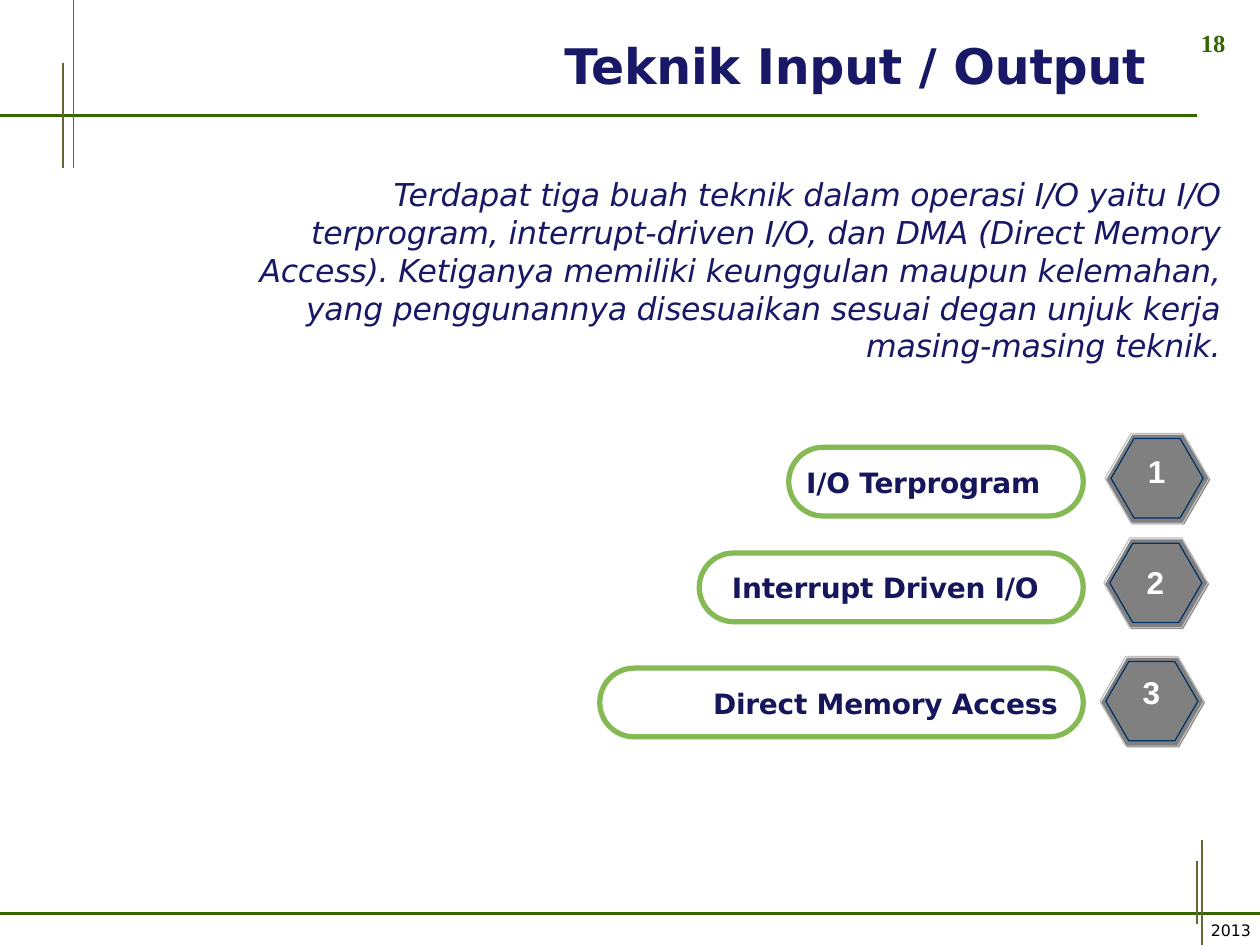
from typing import NamedTuple

from lxml import etree
from pptx import Presentation
from pptx.dml.color import RGBColor
from pptx.enum.shapes import MSO_CONNECTOR, MSO_SHAPE
from pptx.enum.text import PP_ALIGN
from pptx.oxml.ns import qn
from pptx.util import Pt

STRAIGHT = MSO_CONNECTOR.STRAIGHT
HEXAGON = MSO_SHAPE.HEXAGON
PILL = MSO_SHAPE.ROUNDED_RECTANGLE
LEFT, RIGHT = PP_ALIGN.LEFT, PP_ALIGN.RIGHT

GREEN = RGBColor(0x33, 0x66, 0x00)
OLIVE = RGBColor(0x66, 0x66, 0x33)
LIME = RGBColor(0x85, 0xB9, 0x53)
NAVY = RGBColor(0x18, 0x18, 0x66)
LABEL_NAVY = RGBColor(0x16, 0x16, 0x5D)
RIM_BLUE = RGBColor(0x00, 0x33, 0x66)
GRAY = RGBColor(0x80, 0x80, 0x80)
SILVER = RGBColor(0xC0, 0xC0, 0xC0)
WHITE = RGBColor(0xFF, 0xFF, 0xFF)
BLACK = RGBColor(0x00, 0x00, 0x00)

PILL_RIGHT = 619
PILL_HEIGHT = 39.3


class Box(NamedTuple):
    left: float
    top: float
    width: float
    height: float


class Rule(NamedTuple):
    x1: float
    y1: float
    x2: float
    y2: float
    color: RGBColor
    weight: float


class Style(NamedTuple):
    font: str
    size: float
    color: RGBColor
    bold: bool = False
    italic: bool = False
    spacing: float = 0


class Technique(NamedTuple):
    number: str
    name: str
    pill_left: float
    pill_top: float
    name_left: float
    name_width: float
    hexagon_left: float
    hexagon_top: float
    number_drop: float


RULES = [
    Rule(0, 66, 684, 66, GREEN, 1.56),
    Rule(42, 0, 42, 96, OLIVE, 0.96),
    Rule(36, 36, 36, 96, OLIVE, 0.96),
    Rule(720, 522, 0, 522, GREEN, 1.56),
    Rule(684, 528, 684, 492, OLIVE, 0.96),
    Rule(687, 540, 687, 480, OLIVE, 0.96),
]

TECHNIQUES = [
    Technique("1", "I/O Terprogram", 450.7, 255.6, 460, 147, 632.2, 248.4, 8.6),
    Technique("2", "Interrupt Driven I/O", 399.6, 316, 417.6, 189.4, 631.5, 308.2, 12.2),
    Technique("3", "Direct Memory Access", 342.7, 381.8, 406.8, 199.5, 629.2, 375.8, 7.2),
]

SUMMARY = [
    "Terdapat tiga buah teknik dalam operasi I/O yaitu I/O terprogram, "
    "interrupt-driven I/O, dan DMA (Direct Memory Access). Ketiganya memiliki "
    "keunggulan maupun kelemahan, yang penggunannya disesuaikan sesuai degan unjuk kerja",
    "masing-masing teknik.",
]

TITLE_STYLE = Style("DejaVu Sans", 28, NAVY, bold=True, spacing=-0.1)
SUMMARY_STYLE = Style("DejaVu Sans", 18, NAVY, italic=True, spacing=-0.1)
NAME_STYLE = Style("DejaVu Sans", 16, LABEL_NAVY, bold=True, spacing=-0.1)
NUMBER_STYLE = Style("Arial", 18, WHITE, bold=True)
PAGE_STYLE = Style("Times New Roman", 14, GREEN, bold=True)
YEAR_STYLE = Style("DejaVu Sans", 9, BLACK)


def add_rule(slide, rule: Rule) -> None:
    line = slide.shapes.add_connector(
        STRAIGHT, Pt(rule.x1), Pt(rule.y1), Pt(rule.x2), Pt(rule.y2))
    line.line.color.rgb = rule.color
    line.line.width = Pt(rule.weight)
    etree.SubElement(line._element.spPr, qn("a:effectLst"))


def add_text(slide, box: Box, paragraphs: list[str], style: Style,
             align: PP_ALIGN = LEFT, inset: float = 0.7) -> None:
    frame = slide.shapes.add_textbox(*map(Pt, box)).text_frame
    frame.word_wrap = True
    frame.margin_left = Pt(inset)
    frame.margin_top = Pt(1.5)
    frame.margin_right = frame.margin_bottom = 0
    for index, words in enumerate(paragraphs):
        paragraph = frame.add_paragraph() if index else frame.paragraphs[0]
        paragraph.alignment = align
        run = paragraph.add_run()
        run.text = words
        run.font.name = style.font
        run.font.size = Pt(style.size)
        run.font.color.rgb = style.color
        run.font.bold = style.bold
        run.font.italic = style.italic
        run._r.get_or_add_rPr().set("spc", str(round(style.spacing * 100)))


def add_outline(slide, kind: MSO_SHAPE, box: Box, adjustment: float,
                color: RGBColor, weight: float) -> None:
    shape = slide.shapes.add_shape(kind, *map(Pt, box))
    shape.shadow.inherit = False
    shape.adjustments[0] = adjustment
    shape.fill.background()
    shape.line.color.rgb = color
    shape.line.width = Pt(weight)


def add_badge(slide, left: float, top: float) -> None:
    """Draw a gray hexagon with a silver edge and a blue inner rim."""
    face = slide.shapes.add_shape(HEXAGON, Pt(left), Pt(top), Pt(59.4), Pt(51.3))
    face.shadow.inherit = False
    face.adjustments[0] = 0.29
    face.fill.solid()
    face.fill.fore_color.rgb = GRAY
    face.line.fill.background()
    add_outline(slide, HEXAGON, Box(left - 0.7, top - 0.7, 59.4, 51.3), 0.29, SILVER, 0.72)
    add_outline(slide, HEXAGON, Box(left + 2.7, top + 2.2, 52.6, 45.4), 0.29, RIM_BLUE, 0.72)


def add_technique(slide, item: Technique) -> None:
    pill = Box(item.pill_left, item.pill_top, PILL_RIGHT - item.pill_left, PILL_HEIGHT)
    add_outline(slide, PILL, pill, 0.5, LIME, 3)
    add_text(slide, Box(item.name_left, item.pill_top + 8.8, item.name_width, 21),
             [item.name], NAME_STYLE)
    add_badge(slide, item.hexagon_left, item.hexagon_top)
    add_text(slide, Box(item.hexagon_left + 23, item.hexagon_top + item.number_drop, 12.2, 24),
             [item.number], NUMBER_STYLE)


def main() -> None:
    deck = Presentation()
    deck.slide_width, deck.slide_height = Pt(720), Pt(540)
    slide = deck.slides.add_slide(deck.slide_layouts[6])
    for rule in RULES:
        add_rule(slide, rule)
    add_text(slide, Box(685.5, 14.4, 16.6, 18.7), ["18"], PAGE_STYLE)
    add_text(slide, Box(47.5, 18.7, 625, 35.3), ["Teknik Input / Output"],
             TITLE_STYLE, inset=275)
    add_text(slide, Box(138.2, 98.6, 559.4, 110.2), SUMMARY, SUMMARY_STYLE, RIGHT)
    for item in TECHNIQUES:
        add_technique(slide, item)
    add_text(slide, Box(691.2, 524.9, 25.2, 13), ["2013"], YEAR_STYLE)
    deck.save("out.pptx")


if __name__ == "__main__":
    main()
